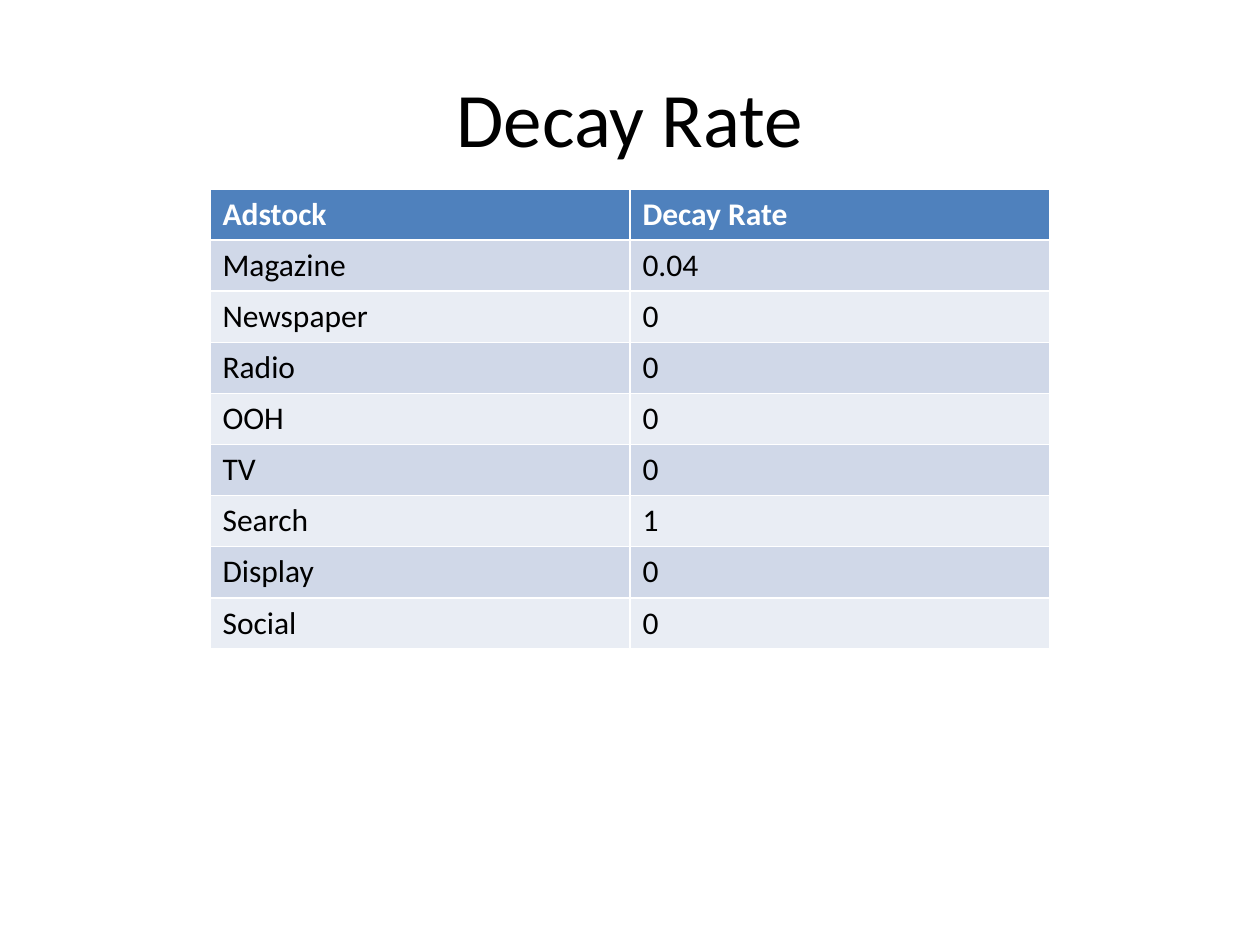
"""Build a slide with a table of adstock decay rates."""
from dataclasses import dataclass
from pptx import Presentation as Deck
from pptx.dml.color import RGBColor as Rgb
from pptx.enum.text import MSO_ANCHOR as Anchor, PP_ALIGN as Align
from pptx.util import Pt

TITLE = "Decay Rate"
ROWS = [
    ("Adstock", "Decay Rate"),
    ("Magazine", "0.04"),
    ("Newspaper", "0"),
    ("Radio", "0"),
    ("OOH", "0"),
    ("TV", "0"),
    ("Search", "1"),
    ("Display", "0"),
    ("Social", "0"),
]


@dataclass(frozen=True)
class Theme:
    font: str = "Calibri"
    head: str = "4F81BD"
    bands: tuple = ("E9EDF4", "D0D8E8")
    dark: str = "000000"
    light: str = "FFFFFF"
    title: int = 44
    body: int = 18


LOOK = Theme()
WIDE, HIGH = 720, 540
TABLE_W, TABLE_TOP, ROW_H = 480, 108, 29.2


def write(frame, text, size=LOOK.body, color=LOOK.dark, bold=False, align=Align.LEFT):
    """Put one formatted line into a text frame."""
    line = frame.paragraphs[0]
    line.alignment = align
    run = line.add_run()
    run.text = text
    font = run.font
    font.name, font.size, font.bold = LOOK.font, Pt(size), bold
    font.color.rgb = Rgb.from_string(color)


deck = Deck()
deck.slide_width, deck.slide_height = Pt(WIDE), Pt(HIGH)
slide = deck.slides.add_slide(deck.slide_layouts[6])

frame = slide.shapes.add_textbox(Pt(36), Pt(21.6), Pt(WIDE - 72), Pt(90)).text_frame
frame.word_wrap = True
frame.vertical_anchor = Anchor.MIDDLE
write(frame, TITLE, size=LOOK.title, align=Align.CENTER)

left = (WIDE - TABLE_W) / 2
table = slide.shapes.add_table(
    len(ROWS), len(ROWS[0]), Pt(left), Pt(TABLE_TOP), Pt(TABLE_W), Pt(ROW_H * len(ROWS))
).table
for r, row in enumerate(ROWS):
    table.rows[r].height = Pt(ROW_H)
    head = r == 0
    fill = LOOK.head if head else LOOK.bands[r % 2]
    for c, text in enumerate(row):
        cell = table.cell(r, c)
        cell.fill.solid()
        cell.fill.fore_color.rgb = Rgb.from_string(fill)
        write(cell.text_frame, text, color=LOOK.light if head else LOOK.dark, bold=head)

deck.save("out.pptx")
